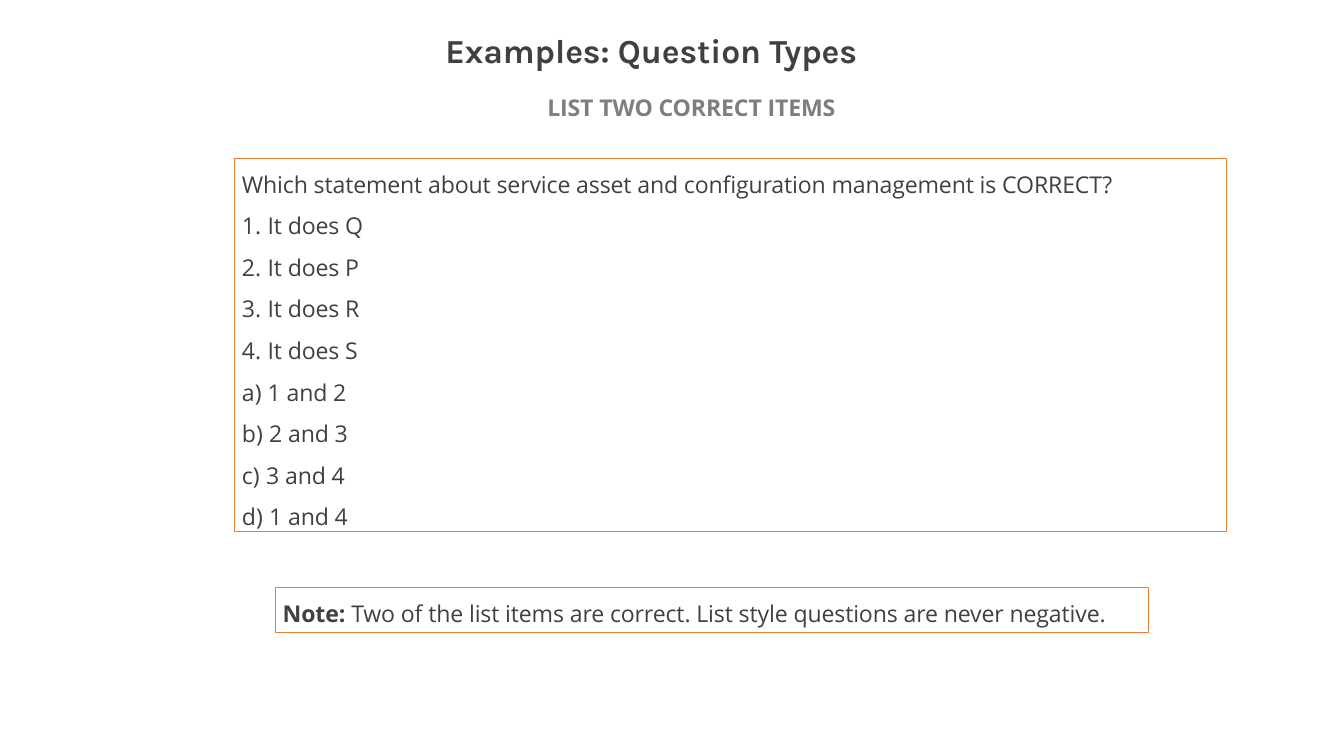
"""Build a slide with a sample list-style question and a note on it."""
from dataclasses import dataclass

from lxml import etree
from pptx import Presentation
from pptx import util as u
from pptx.dml.color import RGBColor
from pptx.enum import shapes, text
from pptx.oxml.ns import qn

HUES = {"ink": "404040", "gray": "7E7E7E", "edge": "EC7C30"}
WIDE, HIGH = u.Inches(17.78), u.Inches(10)
PAD = 0.1


@dataclass
class Area:
    """A box given in percent of the slide's width and height."""
    left: float
    top: float
    width: float
    height: float

    def spans(self) -> list[int]:
        """Return left, top, width and height as lengths."""
        sides = (WIDE, HIGH, WIDE, HIGH)
        parts = (self.left, self.top, self.width, self.height)
        return [round(side * part / 100) for side, part in zip(sides, parts)]


@dataclass
class Item:
    """A line of the question, with its numbering scheme and hang in inches."""
    words: str
    scheme: str = ""
    hang: float = 0


TITLE = Area(33.13, 3.8, 33.8, 5.6)
HEAD = Area(40.72, 12.3, 21.82, 3.9)
QUIZ = Area(17.44, 20.9, 73.79, 50.4)
NOTE = Area(20.47, 77.7, 64.96, 6)

ITEMS = [
    Item("Which statement about service asset and configuration management is CORRECT?"),
    *(Item(f"It does {name}", "arabicPeriod", 0.34) for name in "QPRS"),
    Item("1 and 2", "alphaLcParenR", 0.34),
    Item("2 and 3", "alphaLcParenR", 0.36),
    Item("3 and 4", "alphaLcParenR", 0.32),
    Item("1 and 4", "alphaLcParenR", 0.36),
]


def place(shape, area: Area) -> None:
    """Move a shape to its area."""
    shape.left, shape.top, shape.width, shape.height = area.spans()


def frame(shape, inset: float):
    """Set up the text frame of a shape and return it."""
    body = shape.text_frame
    body.word_wrap = True
    body.auto_size = text.MSO_AUTO_SIZE.SHAPE_TO_FIT_TEXT
    body.vertical_anchor = text.MSO_ANCHOR.TOP
    body.margin_left = body.margin_right = body.margin_bottom = 0
    body.margin_top = u.Inches(inset)
    return body


def edge(shape) -> None:
    """Give a shape a thin border and no fill."""
    shape.fill.background()
    shape.line.color.rgb = RGBColor.from_string(HUES["edge"])
    shape.line.width = u.Pt(0.96)


def style(para, size: float, face: str, hue: str, bold: bool, gap: float) -> None:
    """Format a paragraph and all its runs."""
    para.alignment = text.PP_ALIGN.LEFT
    para.space_before = u.Pt(gap)
    for run in para.runs:
        run.font.size, run.font.name, run.font.bold = u.Pt(size), face, bold
        run.font.color.rgb = RGBColor.from_string(HUES[hue])
        run.font._element.set("spc", "-10")


def indent(para, hang: float = 0, scheme: str = "") -> None:
    """Set a paragraph's indent and automatic number."""
    props = para._p.get_or_add_pPr()
    props.set("marL", str(u.Inches(PAD + hang)))
    props.set("indent", str(-u.Inches(hang)))
    if scheme:
        etree.SubElement(props, qn("a:buAutoNum"), type=scheme)
    else:
        etree.SubElement(props, qn("a:buNone"))


def label(shape, area: Area, words: str, size: float, face: str, hue: str) -> None:
    """Place a bold heading."""
    place(shape, area)
    body = frame(shape, 0.01)
    body.text = words
    style(body.paragraphs[0], size, face, hue, True, 1)


def quiz(shape) -> None:
    """Fill the framed question list."""
    place(shape, QUIZ)
    edge(shape)
    body = frame(shape, 0.16)
    body.text = "\n".join(item.words for item in ITEMS)
    for para, item in zip(body.paragraphs, ITEMS):
        style(para, 22, "Open Sans", "ink", False, 13.2 if item.scheme else 11.3)
        indent(para, item.hang, item.scheme)


def note(slide) -> None:
    """Add the framed note with its bold lead."""
    shape = slide.shapes.add_shape(shapes.MSO_SHAPE.RECTANGLE, *NOTE.spans())
    shape.shadow.inherit = False
    edge(shape)
    para = frame(shape, 0.16).paragraphs[0]
    lead, rest = para.add_run(), para.add_run()
    lead.text = "Note: "
    rest.text = "Two of the list items are correct. List style questions are never negative."
    style(para, 22, "Open Sans", "ink", False, 11.4)
    lead.font.bold = True
    indent(para)


def main() -> None:
    """Build and save the slide."""
    deck = Presentation()
    deck.slide_width, deck.slide_height = WIDE, HIGH
    slide = deck.slides.add_slide(deck.slide_layouts[1])
    label(slide.shapes.title, TITLE, "Examples: Question Types", 32, "Karla", "ink")
    head = slide.shapes.add_textbox(*HEAD.spans())
    label(head, HEAD, "LIST TWO CORRECT ITEMS", 22, "Open Sans", "gray")
    quiz(slide.placeholders[1])
    note(slide)
    deck.save("out.pptx")


if __name__ == "__main__":
    main()
